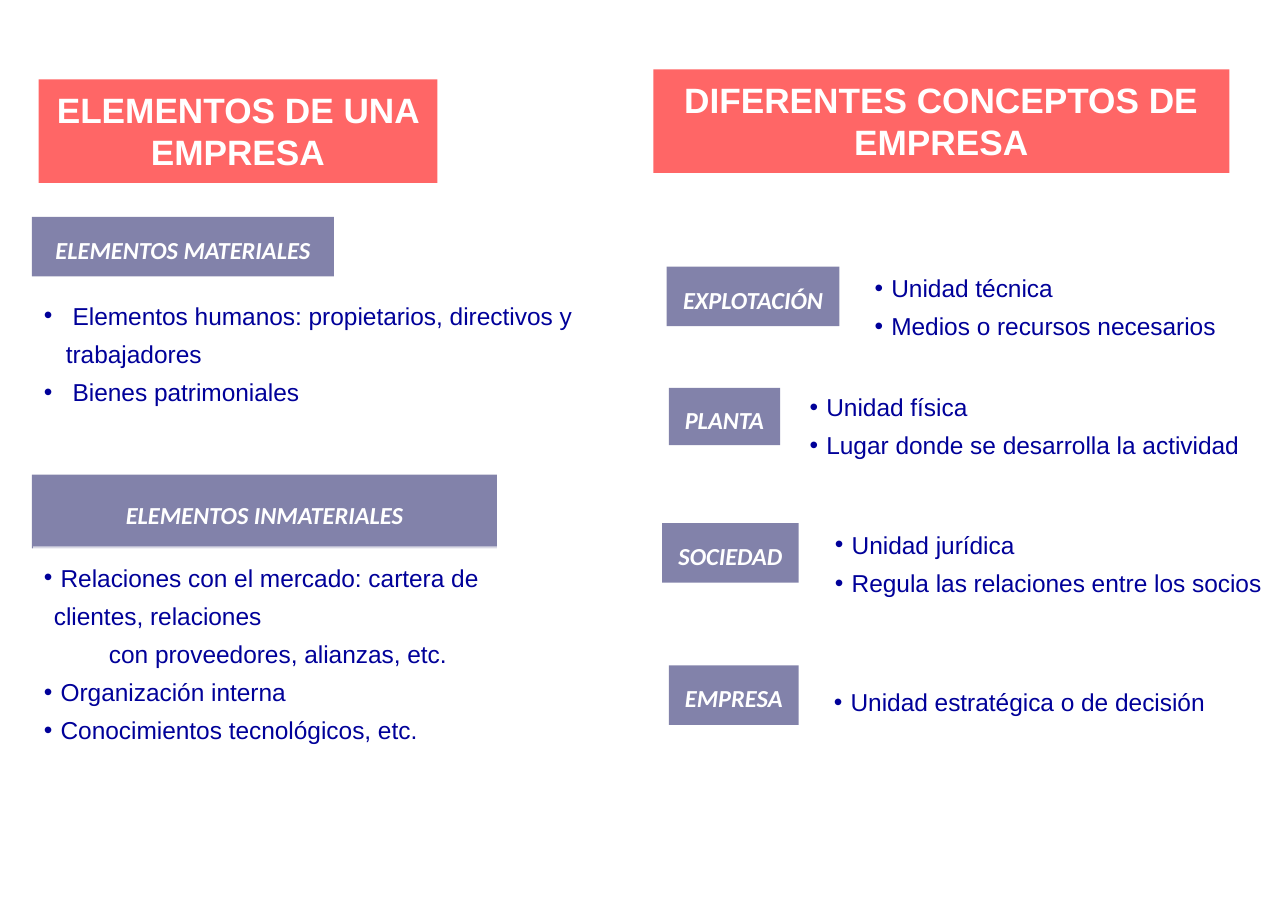
from pptx import Presentation
from pptx.dml.color import RGBColor
from pptx.enum.shapes import MSO_SHAPE
from pptx.enum.text import MSO_ANCHOR, PP_ALIGN
from pptx.oxml.ns import qn
from pptx.util import Inches, Pt
from lxml.etree import SubElement

RED, NAVY, WHITE, BLUE = "FF0000", "000052", "FFFFFF", "000099"

TITLES = [
    ("DIFERENTES CONCEPTOS DE EMPRESA", (5.93, 0.63, 5.23, 0.94)),
    ("ELEMENTOS DE UNA EMPRESA", (0.35, 0.72, 3.62, 0.94)),
]
LABELS = [
    ("EXPLOTACIÓN", (6.05, 2.42, 1.57, 0.54)),
    ("PLANTA", (6.07, 3.52, 1.01, 0.52)),
    ("SOCIEDAD", (6.01, 4.75, 1.24, 0.54)),
    ("EMPRESA", (6.07, 6.04, 1.18, 0.54)),
    ("ELEMENTOS MATERIALES", (0.29, 1.97, 2.74, 0.54)),
    ("ELEMENTOS INMATERIALES", (0.29, 4.31, 4.22, 0.67)),
]
CONCEPTS = [
    ((7.84, 2.33, 3.34, 0.82), ["Unidad técnica", "Medios o recursos necesarios"]),
    ((7.25, 3.41, 4.15, 0.82), ["Unidad física", "Lugar donde se desarrolla la actividad"]),
    ((7.48, 4.66, 4.12, 0.85), ["Unidad jurídica", "Regula las relaciones entre los socios"]),
    ((7.47, 6.09, 3.61, 0.5), ["Unidad estratégica o de decisión"]),
]
MATERIAL = ((0.3, 2.58, 5.17, 1.16), [
    "Elementos humanos: propietarios, directivos y trabajadores",
    "Bienes patrimoniales",
])
CONTINUATION = "con proveedores, alianzas, etc."
IMMATERIAL = ((0.3, 4.96, 5.01, 1.87), [
    "Relaciones con el mercado: cartera de clientes, relaciones",
    CONTINUATION,
    "Organización interna",
    "Conocimientos tecnológicos, etc.",
])


def paint(fill, color, alpha=100):
    fill.solid()
    fill.fore_color.rgb = RGBColor.from_string(color)
    if alpha < 100:
        clr = fill._xPr.find(qn("a:solidFill"))[0]
        SubElement(clr, qn("a:alpha"), val=str(alpha * 1000))


def add_box(at, color, alpha, pad, wrap=True, anchor=MSO_ANCHOR.TOP):
    sp = s.shapes.add_shape(MSO_SHAPE.RECTANGLE, *map(Inches, at))
    sp.shadow.inherit = False
    sp.line.fill.background()
    paint(sp.fill, color, alpha)
    tf = sp.text_frame
    tf.word_wrap = wrap
    tf.vertical_anchor = anchor
    tf.margin_left = tf.margin_right = Inches(pad[0])
    tf.margin_top = tf.margin_bottom = Inches(pad[1])
    return tf


def add_run(p, text, font, size, color, bold=False, italic=False):
    r = p.add_run()
    r.text = text
    r.font.name, r.font.size = font, Pt(size)
    r.font.bold, r.font.italic = bold, italic
    paint(r.font.fill, color)


def add_title(text, at):
    p = add_box(at, RED, 60, (0.1, 0.08)).paragraphs[0]
    p.alignment = PP_ALIGN.CENTER
    p.space_after = Pt(8.3)
    add_run(p, text, "Arial", 23, WHITE, bold=True)


def add_label(text, at):
    p = add_box(at, NAVY, 49, (0.14, 0.11), False, MSO_ANCHOR.MIDDLE).paragraphs[0]
    p.alignment = PP_ALIGN.CENTER
    p.line_spacing = 1.2
    add_run(p, text, "Calibri", 16, WHITE, bold=True, italic=True)


def add_list(at, items, hang=0.09, wrap=True):
    tf = add_box(at, WHITE, 70, (0.1, 0.07), wrap)
    for i, text in enumerate(items):
        p = tf.add_paragraph() if i else tf.paragraphs[0]
        p.alignment = PP_ALIGN.LEFT
        p.line_spacing = 1.3
        bulleted = text != CONTINUATION
        left, first = (hang, -hang) if bulleted else (0.9, -0.31)
        pPr = p._p.get_or_add_pPr()
        pPr.set("marL", str(Inches(left)))
        pPr.set("indent", str(Inches(first)))
        if bulleted:
            SubElement(pPr, qn("a:buFont"), typeface="Arial")
            SubElement(pPr, qn("a:buChar"), char="•")
        else:
            p.level = 1
            SubElement(pPr, qn("a:buNone"))
        add_run(p, " " + text if bulleted else text, "Arial", 16, BLUE)


prs = Presentation()
prs.slide_width, prs.slide_height = Inches(11.69), Inches(8.27)
s = prs.slides.add_slide(prs.slide_layouts[6])

for text, at in TITLES:
    add_title(text, at)
for text, at in LABELS:
    add_label(text, at)
for at, items in CONCEPTS:
    add_list(at, items, wrap=False)
add_list(*MATERIAL, hang=0.2)
add_list(*IMMATERIAL)

prs.save("out.pptx")
